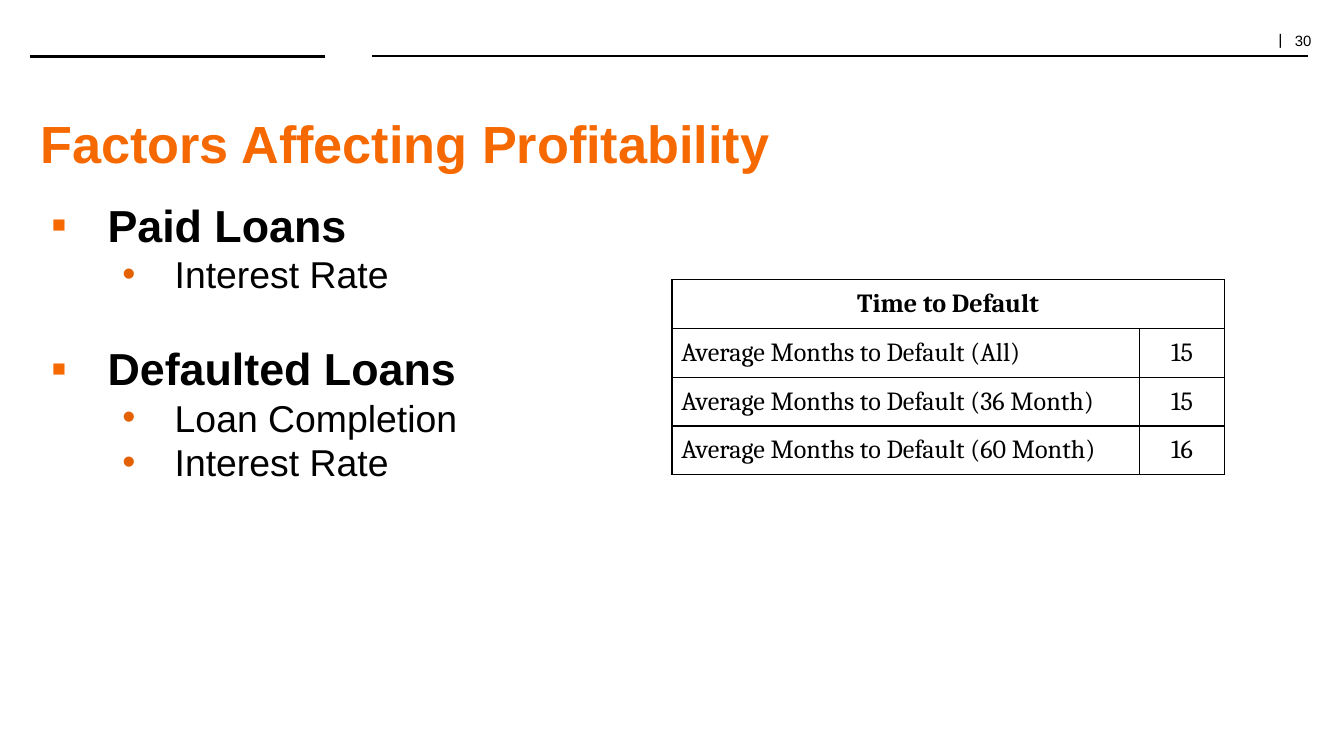
from lxml.etree import SubElement
from pptx import Presentation
from pptx.dml.color import RGBColor
from pptx.enum.shapes import MSO_CONNECTOR
from pptx.enum.text import MSO_ANCHOR, PP_ALIGN
from pptx.oxml.ns import qn
from pptx.util import Inches, Pt

BLACK = RGBColor(0x00, 0x00, 0x00)
ORANGE = RGBColor(0xF6, 0x69, 0x00)
DARK_ORANGE = RGBColor(0xE4, 0x61, 0x02)

FACTORS = [
    ("Paid Loans", ["Interest Rate"]),
    ("Defaulted Loans", ["Loan Completion", "Interest Rate"]),
]
DEFAULT_TIMES = [
    ("Average Months to Default (All)", "15"),
    ("Average Months to Default (36 Month)", "15"),
    ("Average Months to Default (60 Month)", "16"),
]


def style(span, size, color=BLACK, bold=False, name="Arial"):
    span.font.size = Pt(size)
    span.font.name = name
    span.font.bold = bold
    span.font.color.rgb = color


def add_text_frame(page, left, top, width, height):
    box = page.shapes.add_textbox(
        Inches(left), Inches(top), Inches(width), Inches(height))
    frame = box.text_frame
    frame.word_wrap = True
    frame.margin_left = frame.margin_right = Inches(0.08)
    frame.margin_top = frame.margin_bottom = Inches(0.04)
    return frame


def add_rule(page, left, right, y, weight):
    rule = page.shapes.add_connector(
        MSO_CONNECTOR.STRAIGHT, Inches(left), Inches(y), Inches(right), Inches(y))
    rule.line.color.rgb = BLACK
    rule.line.width = Pt(weight)
    SubElement(rule._element.spPr, qn("a:effectLst"))


def add_header(page, left, top, width):
    rule_y = top + 0.21
    add_rule(page, left, left + 2.2, rule_y, 2)
    add_rule(page, left + 2.55, left + width, rule_y, 1)
    frame = add_text_frame(page, left + width - 0.32, top, 1.02, 0.2)
    paragraph = frame.paragraphs[0]
    paragraph.line_spacing = 0.8
    for text, size, name in (("|  ", 9, "TeX Gyre Schola"), ("30", 8, "Arial")):
        span = paragraph.add_run()
        span.text = text
        style(span, size, name=name)


def add_title(page, left, top, width, height):
    frame = add_text_frame(page, left, top, width, height)
    frame.text = "Factors Affecting Profitability"
    frame.paragraphs[0].space_before = Pt(1)
    style(frame.paragraphs[0].runs[0], 28, ORANGE, bold=True)


def set_bullet(paragraph, symbol, color, margin, hanging):
    properties = paragraph._p.get_or_add_pPr()
    properties.set("marL", str(Inches(margin)))
    properties.set("indent", str(-Inches(hanging)))
    bullet_color = SubElement(properties, qn("a:buClr"))
    SubElement(bullet_color, qn("a:srgbClr"), val=str(color))
    SubElement(properties, qn("a:buFont"), typeface="Arial")
    SubElement(properties, qn("a:buChar"), char=symbol)


def add_factors(page, left, top, width, height):
    frame = add_text_frame(page, left, top, width, height)
    paragraph = frame.paragraphs[0]
    for group, (heading, factors) in enumerate(FACTORS):
        if group:
            paragraph = frame.add_paragraph()
        paragraph.text = heading
        paragraph.space_before = Pt(24 if group else 2)
        set_bullet(paragraph, "▪", ORANGE, 0.5, 0.42)
        style(paragraph.runs[0], 24, bold=True)
        for factor in factors:
            paragraph = frame.add_paragraph()
            paragraph.text = factor
            paragraph.level = 1
            paragraph.space_before = Pt(0)
            set_bullet(paragraph, "•", DARK_ORANGE, 1, 0.39)
            style(paragraph.runs[0], 20)


def set_borders(cell, weight=0.75):
    properties = cell._tc.get_or_add_tcPr()
    for position, side in enumerate(("a:lnL", "a:lnR", "a:lnT", "a:lnB")):
        line = properties.makeelement(qn(side), {"w": str(Pt(weight))})
        fill = SubElement(line, qn("a:solidFill"))
        SubElement(fill, qn("a:srgbClr"), val=str(BLACK))
        properties.insert(position, line)


def fill_cell(cell, text, centred, bold=False):
    cell.text = text
    cell.margin_left = cell.margin_right = Inches(0.07)
    cell.margin_top = Inches(0.07)
    cell.margin_bottom = Inches(0.06)
    cell.vertical_anchor = MSO_ANCHOR.TOP
    paragraph = cell.text_frame.paragraphs[0]
    paragraph.alignment = PP_ALIGN.CENTER if centred else PP_ALIGN.LEFT
    for span in paragraph.runs:
        style(span, 14, bold=bold, name="Cambria")


def add_default_table(page, left, top, column_widths, row_height):
    row_count = len(DEFAULT_TIMES) + 1
    table = page.shapes.add_table(
        row_count, len(column_widths), Inches(left), Inches(top),
        Inches(sum(column_widths)), Inches(row_height * row_count)).table
    table.first_row = table.horz_banding = False
    for column, width in zip(table.columns, column_widths):
        column.width = Inches(width)
    for row in table.rows:
        row.height = Inches(row_height)
        for cell in row.cells:
            cell.fill.background()
            set_borders(cell)
    table.cell(0, 0).merge(table.cell(0, 1))
    fill_cell(table.cell(0, 0), "Time to Default", centred=True, bold=True)
    for row, (label, months) in enumerate(DEFAULT_TIMES, start=1):
        fill_cell(table.cell(row, 0), label, centred=False)
        fill_cell(table.cell(row, 1), months, centred=True)


def main():
    deck = Presentation()
    deck.slide_width = Inches(10)
    deck.slide_height = Inches(10 * 9 / 16)
    page = deck.slides.add_slide(deck.slide_layouts[6])
    add_header(page, 0.22, 0.21, 9.51)
    add_title(page, 0.22, 0.79, 9.51, 0.57)
    add_factors(page, 0.22, 1.43, 9.51, 3.09)
    add_default_table(page, 5, 2.08, (3.48, 0.63), 0.36)
    deck.save("out.pptx")


if __name__ == "__main__":
    main()
